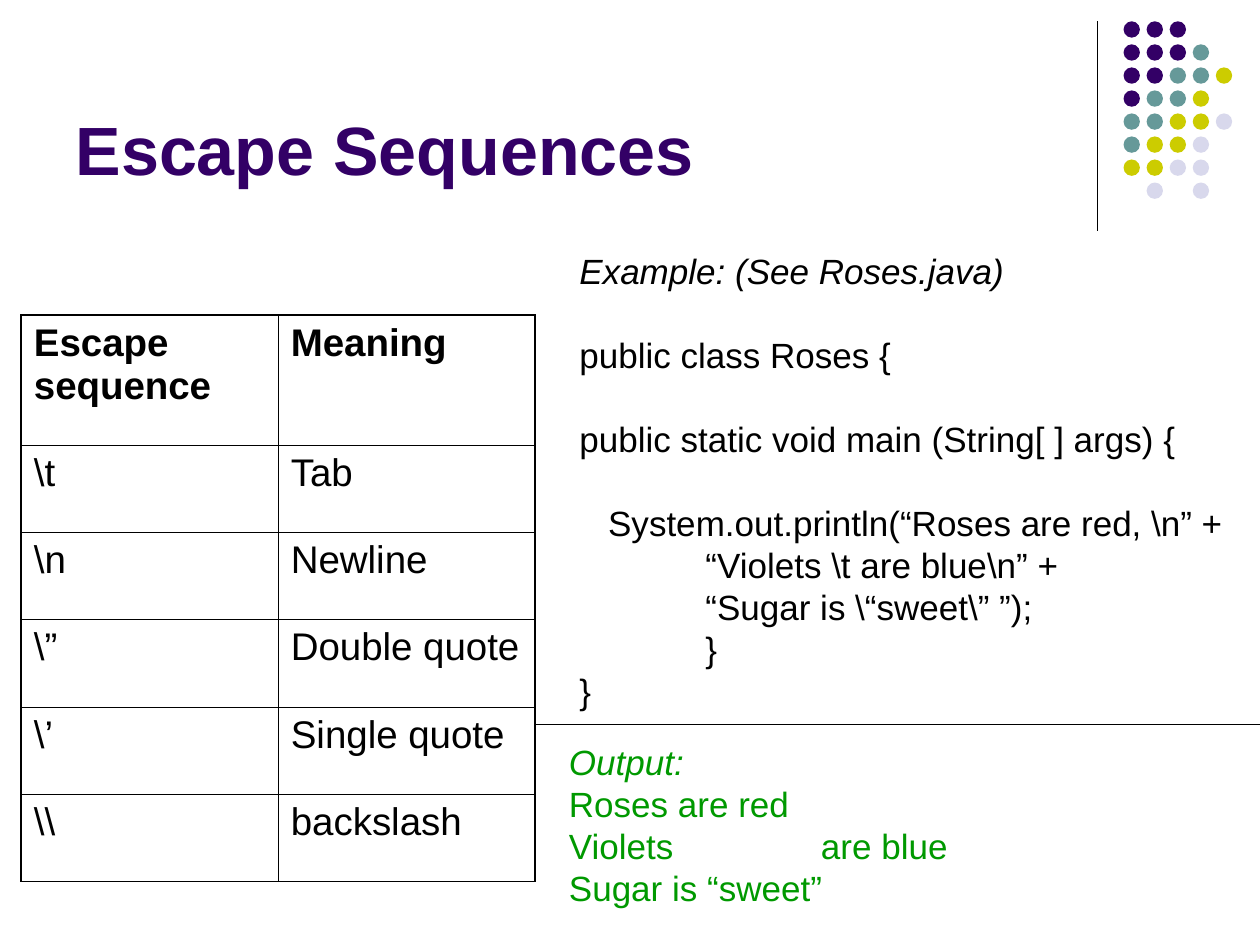
import dataclasses
import itertools

import pptx
import pptx.dml.color
import pptx.enum.shapes
import pptx.enum.text
import pptx.oxml
import pptx.oxml.ns
import pptx.util
import lxml.etree

Cm = pptx.util.Cm
Pt = pptx.util.Pt


@dataclasses.dataclass(frozen=True)
class Theme:
    """Colours, type sizes and line widths of the slide."""
    font: str = "Arial"
    ink: str = "000000"
    plum: str = "330066"
    teal: str = "669999"
    lime: str = "CCCC00"
    mist: str = "D8D8EC"
    green: str = "009900"
    title: float = 39
    cell: float = 22
    code: float = 20
    lead: float = 24
    thin: float = 0.45
    thick: float = 1.08
    rule: float = 0.74


THEME = Theme()

DOTS = ["PPP", "PPPT", "PPTTL", "PTTL", "TTLLM", "TLLM", "LLMM", " M M"]

ROWS = [
    ("Escape sequence", "Meaning"),
    ("\\t", "Tab"),
    ("\\n", "Newline"),
    ("\\”", "Double quote"),
    ("\\’", "Single quote"),
    ("\\\\", "backslash"),
]

GAP = {"before": THEME.lead}
DEEP = {"indent": 2.54}
CODE = [
    ("Example: (See Roses.java)", {"italic": True}),
    ("public class Roses {", GAP),
    ("public static void main (String[ ] args) {", GAP),
    ("System.out.println(“Roses are red, \\n” +", {"indent": 0.58, **GAP}),
    ("“Violets \\t are blue\\n” +", DEEP),
    ("“Sugar is \\“sweet\\” ”);", DEEP),
    ("}", DEEP),
    ("}", {}),
]

OUTPUT = [
    ("Output:", {"italic": True}),
    ("Roses are red", {}),
    ("Violets\tare blue", {"tab": 5.08}),
    ("Sugar is “sweet”", {}),
]


def rgb(code):
    """Turn a hex code into a colour."""
    return pptx.dml.color.RGBColor.from_string(code)


def write(para, text, size, color=THEME.ink, bold=False, italic=False,
          before=0, lead=None, indent=0, tab=None):
    """Put formatted text into a paragraph."""
    para.alignment = pptx.enum.text.PP_ALIGN.LEFT
    para.space_before = Pt(before)
    if lead:
        para.line_spacing = Pt(lead)
    props = para._p.get_or_add_pPr()
    if indent:
        props.set("marL", str(Cm(indent)))
    if tab:
        stops = lxml.etree.SubElement(props, pptx.oxml.ns.qn("a:tabLst"))
        lxml.etree.SubElement(stops, pptx.oxml.ns.qn("a:tab"),
                              pos=str(Cm(tab)), algn="l")
    run = para.add_run()
    run.text = text
    run.font.name = THEME.font
    run.font.size = Pt(size)
    run.font.bold = bold
    run.font.italic = italic
    run.font.color.rgb = rgb(color)


def draw_rule(slide, left, top, right, bottom):
    """Draw a thin straight line."""
    rule = slide.shapes.add_connector(
        pptx.enum.shapes.MSO_CONNECTOR.STRAIGHT,
        Cm(left), Cm(top), Cm(right), Cm(bottom))
    rule.line.color.rgb = rgb(THEME.ink)
    rule.line.width = Pt(THEME.rule)
    lxml.etree.SubElement(rule._element.spPr, pptx.oxml.ns.qn("a:effectLst"))


def draw_dots(slide, left, top, width, height, size=0.33):
    """Draw the grouped grid of coloured dots inside its box."""
    tints = {"P": THEME.plum, "T": THEME.teal, "L": THEME.lime, "M": THEME.mist}
    across = (width - size) / (max(map(len, DOTS)) - 1)
    down = (height - size) / (len(DOTS) - 1)
    group = slide.shapes.add_group_shape()
    for row, line in enumerate(DOTS):
        for col, key in enumerate(line):
            if key not in tints:
                continue
            dot = group.shapes.add_shape(
                pptx.enum.shapes.MSO_SHAPE.OVAL,
                Cm(left + col * across), Cm(top + row * down),
                Cm(size), Cm(size))
            dot.shadow.inherit = False
            dot.fill.solid()
            dot.fill.fore_color.rgb = rgb(tints[key])
            dot.line.fill.background()


def set_title(slide, text, left, top, width, height):
    """Move and fill the title placeholder."""
    title = slide.shapes.title
    title.left, title.top = Cm(left), Cm(top)
    title.width, title.height = Cm(width), Cm(height)
    frame = title.text_frame
    frame.auto_size = pptx.enum.text.MSO_AUTO_SIZE.NONE
    frame.vertical_anchor = pptx.enum.text.MSO_ANCHOR.BOTTOM
    write(frame.paragraphs[0], text, THEME.title, THEME.plum, bold=True)


def add_edges(cell, edges):
    """Give a cell its four borders, from a map of side to width."""
    props = cell._tc.get_or_add_tcPr()
    for spot, (side, width) in enumerate(edges.items()):
        props.insert(spot, pptx.oxml.parse_xml(
            f'<a:ln{side} {pptx.oxml.ns.nsdecls("a")} w="{Pt(width)}">'
            f'<a:solidFill><a:srgbClr val="{THEME.ink}"/></a:solidFill>'
            f'</a:ln{side}>'))


def add_grid(slide, left, top, width, head=2.62, step=1.76):
    """Build the table of escape sequences."""
    rows, cols = len(ROWS), len(ROWS[0])
    height = head + step * (rows - 1)
    table = slide.shapes.add_table(
        rows, cols, Cm(left), Cm(top), Cm(width), Cm(height)).table
    table.first_row = table.horz_banding = False
    for col in table.columns:
        col.width = Cm(width / cols)
    for row, line in enumerate(table.rows):
        line.height = Cm(step if row else head)
    for row, col in itertools.product(range(rows), range(cols)):
        cell = table.cell(row, col)
        cell.fill.background()
        outer = {"L": col == 0, "R": col == cols - 1,
                 "T": row == 0, "B": row == rows - 1}
        add_edges(cell, {side: THEME.thick if out else THEME.thin
                         for side, out in outer.items()})
        write(cell.text_frame.paragraphs[0], ROWS[row][col], THEME.cell,
              bold=row == 0, before=5.5)


def add_lines(slide, lines, color, left, top, width, height):
    """Place a text box with one paragraph for each line."""
    frame = slide.shapes.add_textbox(
        Cm(left), Cm(top), Cm(width), Cm(height)).text_frame
    frame.word_wrap = True
    frame.margin_right = Cm(0.1)
    for row, (text, form) in enumerate(lines):
        para = frame.add_paragraph() if row else frame.paragraphs[0]
        write(para, text, THEME.code, color, lead=THEME.lead, **form)


def build():
    """Build and save the slide."""
    deck = pptx.Presentation()
    deck.slide_width, deck.slide_height = Cm(25.4), Cm(19.05)
    slide = deck.slides.add_slide(deck.slide_layouts[5])
    draw_rule(slide, 22.12, 0.43, 22.12, 4.65)
    draw_dots(slide, 22.65, 0.43, 2.19, 3.58)
    set_title(slide, "Escape Sequences", 1.27, 0.33, 20.96, 3.61)
    add_grid(slide, 0.43, 6.35, 10.36)
    add_lines(slide, CODE, THEME.ink, 11.43, 4.9, 13.54, 10.41)
    add_lines(slide, OUTPUT, THEME.green, 11.22, 14.81, 14.17, 3.66)
    draw_rule(slide, 10.8, 14.61, 25.4, 14.61)
    deck.save("out.pptx")


build()
